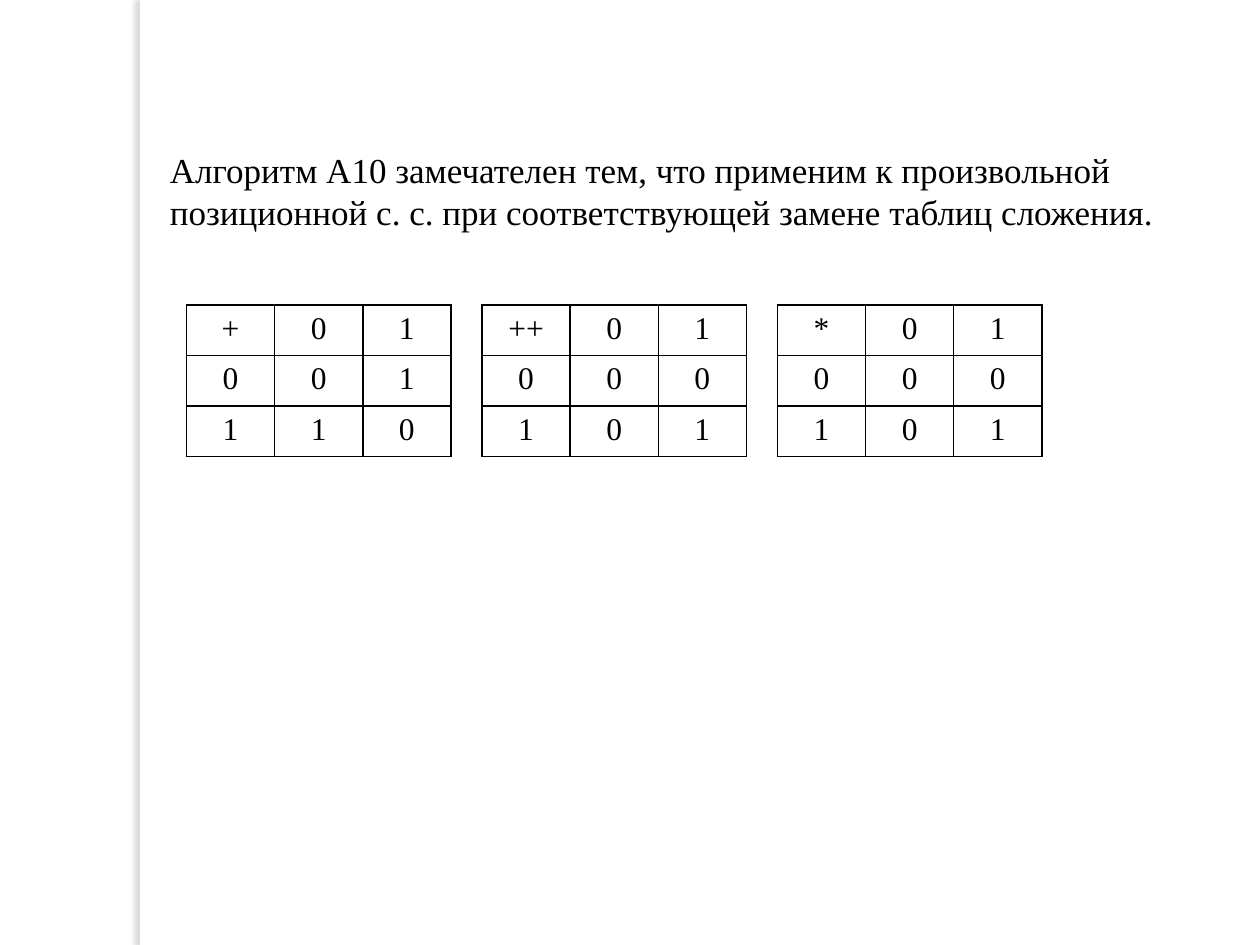
from dataclasses import dataclass

from pptx import Presentation
from pptx.dml.color import RGBColor
from pptx.enum.shapes import MSO_SHAPE
from pptx.enum.text import MSO_ANCHOR, PP_ALIGN
from pptx.oxml import parse_xml
from pptx.oxml.ns import nsdecls, qn
from pptx.slide import Slide
from pptx.util import Inches, Pt

RECT = MSO_SHAPE.RECTANGLE
MIDDLE = MSO_ANCHOR.MIDDLE
CENTER = PP_ALIGN.CENTER
FONT = "Times New Roman"
COLORS = {"ink": "000000", "paper": "FFFFFF", "shade": "6F6A5F"}
CELL_W, CELL_H = 0.7, 0.36
LEFT, TOP, STEP = 1.48, 2.42, 2.345


@dataclass
class Grid:
    sign: str
    rows: tuple[str, str]  # results for operands 0 and 1


GRIDS = [
    Grid("+", ("01", "10")),
    Grid("++", ("00", "01")),
    Grid("*", ("00", "01")),
]


def add_run(para, text: str, size: int) -> None:
    run = para.add_run()
    run.text = text
    run.font.name = FONT
    run.font.size = Pt(size)
    run.font.color.rgb = RGBColor.from_string(COLORS["ink"])


def add_strip(slide: Slide) -> None:
    strip = slide.shapes.add_shape(RECT, Inches(1.11), 0, Inches(0.08), Inches(7.5))
    strip.fill.solid()
    strip.fill.fore_color.rgb = RGBColor.from_string(COLORS["paper"])
    strip.line.fill.background()
    strip.shadow.inherit = False
    # Soft shadow cast to the left
    effects = strip.element.spPr.find(qn("a:effectLst"))
    effects.append(parse_xml(
        f'<a:outerShdw {nsdecls("a")} blurRad="{Pt(3)}" dist="{Pt(3)}" '
        f'dir="{180 * 60000}" algn="ctr" rotWithShape="0">'
        f'<a:srgbClr val="{COLORS["shade"]}"><a:alpha val="25000"/></a:srgbClr>'
        '</a:outerShdw>'))


def add_intro(slide: Slide, text: str) -> None:
    box = slide.shapes.add_textbox(Inches(1.25), Inches(1.13), Inches(8.2), Inches(0.77))
    frame = box.text_frame
    frame.word_wrap = True
    frame.vertical_anchor = MIDDLE
    add_run(frame.paragraphs[0], text, 20)


def add_borders(cell) -> None:
    props = cell._tc.get_or_add_tcPr()
    for side in "LRTB":
        props.append(parse_xml(
            f'<a:ln{side} {nsdecls("a")} w="{Pt(1)}"><a:solidFill>'
            f'<a:srgbClr val="{COLORS["ink"]}"/></a:solidFill></a:ln{side}>'))


def add_grid(slide: Slide, grid: Grid, left: float) -> None:
    cells = [[grid.sign, "0", "1"]]
    cells += [[str(num), *row] for num, row in enumerate(grid.rows)]
    size = len(cells)
    table = slide.shapes.add_table(
        size, size, Inches(left), Inches(TOP),
        Inches(CELL_W * size), Inches(CELL_H * size)).table
    table.first_row = False
    table.horz_banding = False
    for row, texts in enumerate(cells):
        for col, text in enumerate(texts):
            cell = table.cell(row, col)
            add_borders(cell)
            cell.fill.background()
            para = cell.text_frame.paragraphs[0]
            para.alignment = CENTER
            add_run(para, text, 18)


def main() -> None:
    deck = Presentation()
    deck.slide_width, deck.slide_height = Inches(10), Inches(7.5)
    slide = deck.slides.add_slide(deck.slide_layouts[6])
    # Side strip and statement
    add_strip(slide)
    add_intro(slide, "Алгоритм А10 замечателен тем, что применим к произвольной "
                     "позиционной с. с. при соответствующей замене таблиц сложения.")
    # Operation tables
    for num, grid in enumerate(GRIDS):
        add_grid(slide, grid, LEFT + num * STEP)
    deck.save("out.pptx")


if __name__ == "__main__":
    main()
